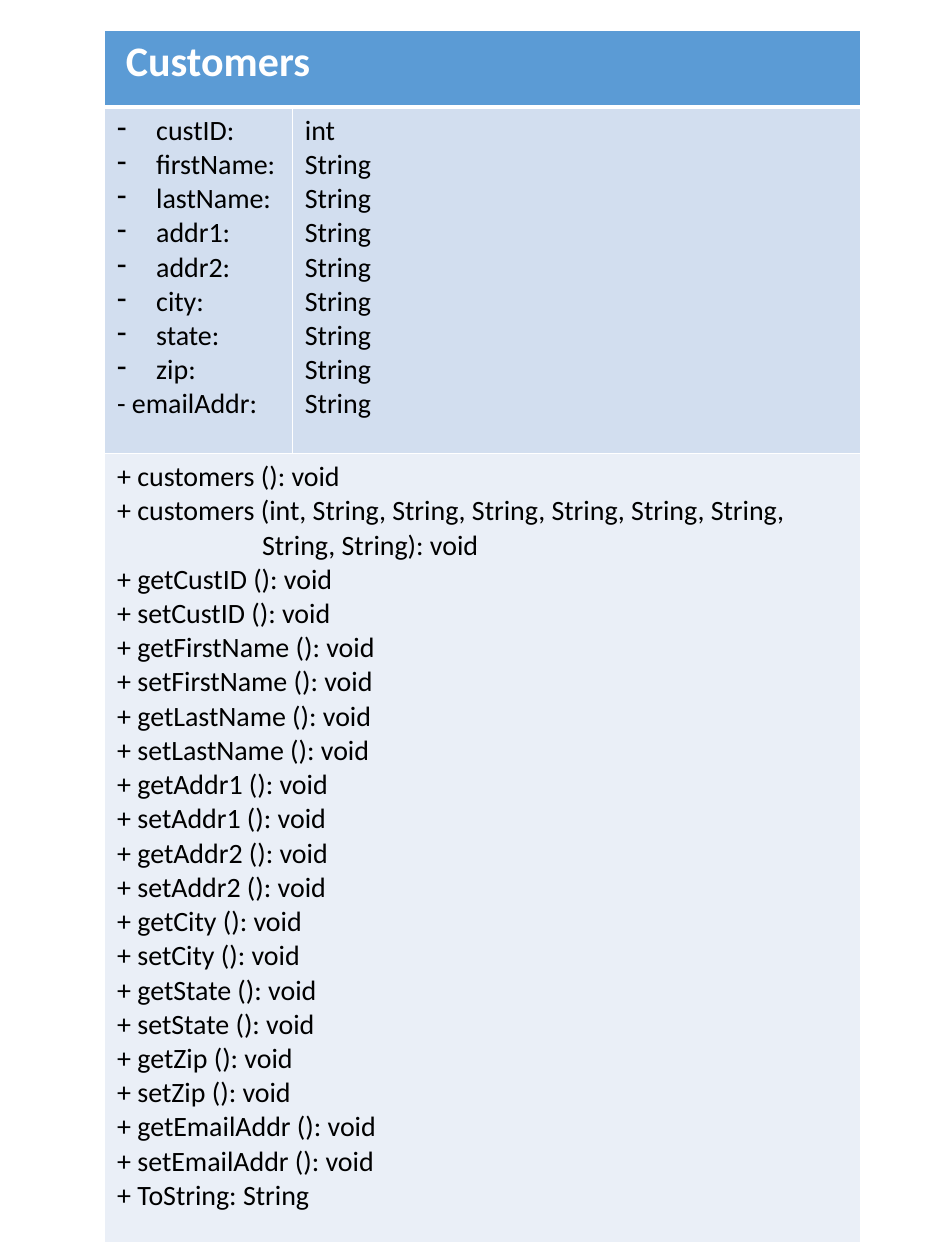
from pptx import Presentation
from pptx.util import Inches, Pt
from pptx.dml.color import RGBColor
from pptx.oxml.ns import qn
from lxml.etree import SubElement

COLORS = {"header": "5B9BD5", "attributes": "D2DEEF", "methods": "EAEFF7",
          "white": "FFFFFF", "black": "000000"}
FIELDS = ["custID", "firstName", "lastName", "addr1", "addr2", "city",
          "state", "zip", "emailAddr"]
CONTINUATION = "String, String): void"


def fill_cell(cell, lines, fill, color="black", size=16, bold=False):
    cell.text_frame.text = "\n".join(lines)
    for paragraph in cell.text_frame.paragraphs:
        for span in paragraph.runs:
            span.font.name = "Calibri"
            span.font.size = Pt(size)
            span.font.bold = bold
            span.font.color.rgb = RGBColor.from_string(COLORS[color])
    cell.fill.solid()
    cell.fill.fore_color.rgb = RGBColor.from_string(COLORS[fill])


def set_indent(paragraph, left, first=0):
    properties = paragraph._p.get_or_add_pPr()
    properties.set("marL", str(Inches(left)))
    properties.set("indent", str(Inches(first)))
    return properties


deck = Presentation()
deck.slide_width = Inches(7.5)
deck.slide_height = Inches(10)
page = deck.slides.add_slide(deck.slide_layouts[6])

table = page.shapes.add_table(3, 2, Inches(0.83), Inches(0.24),
                              Inches(6), Inches(9.62)).table
for column, width in zip(table.columns, [1.49, 4.51]):
    column.width = Inches(width)
for row, height in zip(table.rows, [0.61, 2.75, 6.26]):
    row.height = Inches(height)

for row_index, row in enumerate(table.rows):
    for cell in row.cells:
        properties = cell._tc.get_or_add_tcPr()
        for side in "LRTB":
            heavy = (row_index, side) in [(0, "B"), (1, "T")]
            line = SubElement(properties, qn(f"a:ln{side}"), w=str(Pt(3 if heavy else 1)))
            paint = SubElement(line, qn("a:solidFill"))
            SubElement(paint, qn("a:srgbClr"), val=COLORS["white"])

header, names, types, methods = (table.cell(0, 0), table.cell(1, 0),
                                 table.cell(1, 1), table.cell(2, 0))
header.merge(table.cell(0, 1))
methods.merge(table.cell(2, 1))

fill_cell(header, ["Customers"], "header", "white", 24, True)
header.margin_left = Inches(0.17)

attributes = [f"{field}:" for field in FIELDS]
attributes[-1] = "- " + attributes[-1]
fill_cell(names, attributes, "attributes")
for paragraph in names.text_frame.paragraphs[:-1]:
    properties = set_indent(paragraph, 0.31, -0.31)
    SubElement(properties, qn("a:buFontTx"))
    SubElement(properties, qn("a:buChar"), char="-")

fill_cell(types, ["int"] + ["String"] * (len(FIELDS) - 1), "attributes")

signatures = ["+ customers (): void",
              "+ customers (int, String, String, String, String, String, String,",
              CONTINUATION]
for field in FIELDS:
    for verb in ["get", "set"]:
        signatures.append(f"+ {verb}{field[0].upper()}{field[1:]} (): void")
signatures.append("+ ToString: String")
fill_cell(methods, signatures, "methods")
set_indent(methods.text_frame.paragraphs[signatures.index(CONTINUATION)], 1.15)

deck.save("out.pptx")
